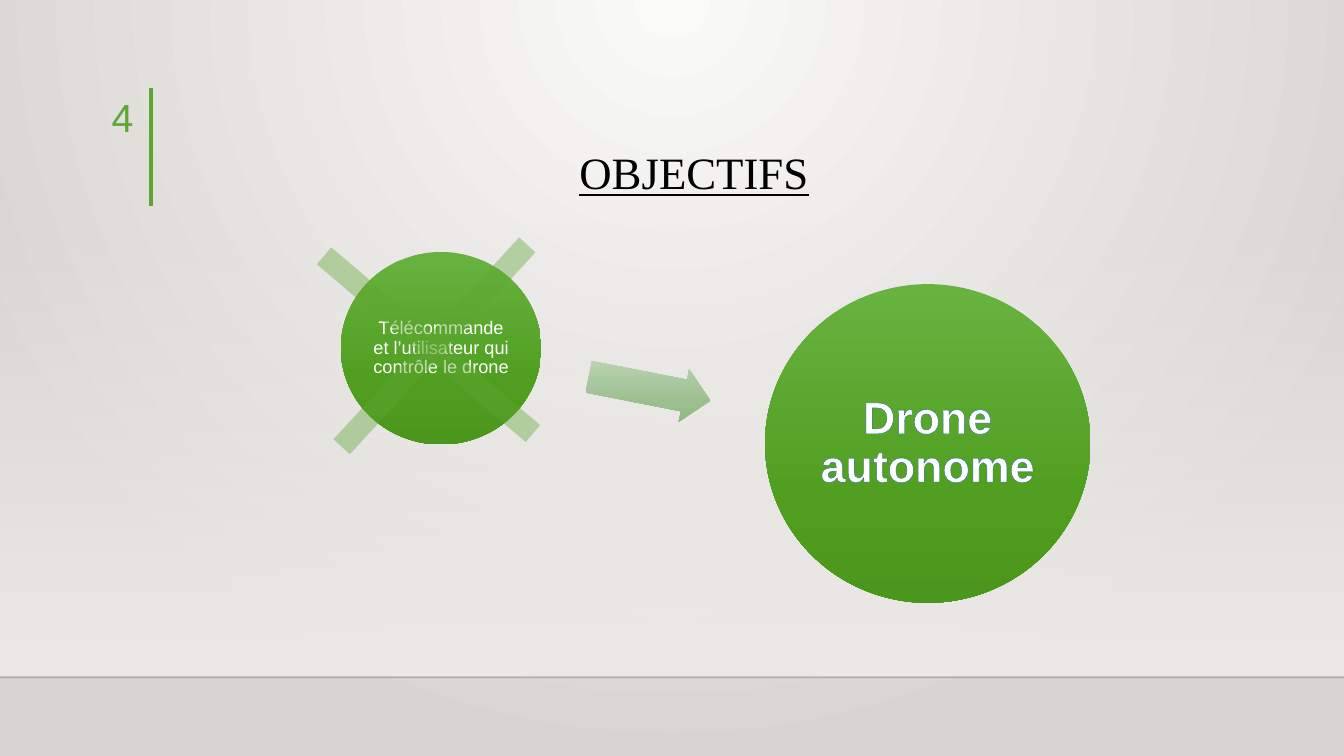
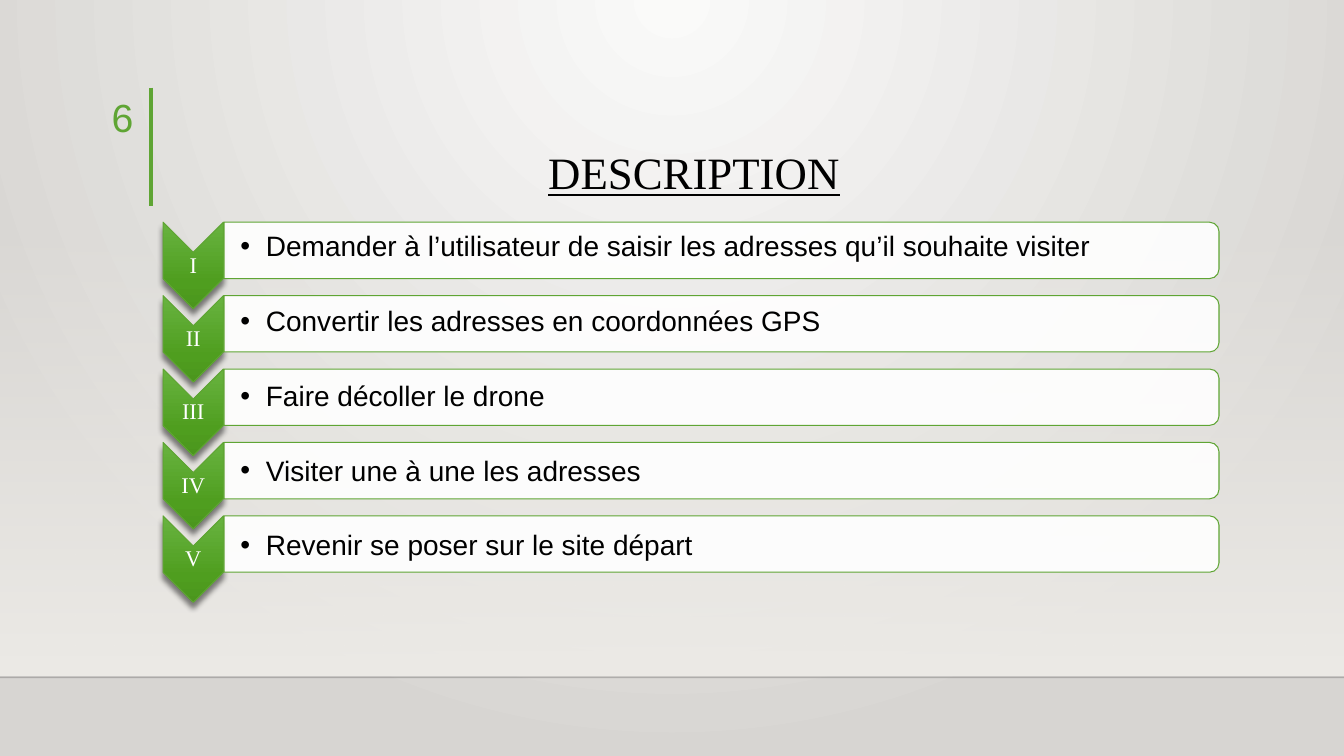
from dataclasses import dataclass
from typing import Any, Optional

from lxml import etree
from pptx import Presentation, util as u
from pptx.dml.color import RGBColor
from pptx.dml.fill import FillFormat
from pptx.enum import shapes, text
from pptx.oxml import parse_xml
from pptx.oxml.ns import nsdecls, qn

# Shared colours and fonts
GREEN, WHITE, BLACK = "5FA534", "FFFFFF", "000000"
BAND, OUTLINE, FLOOR = "EDEBE7", "236797", "000001"
SANS, SERIF = "Arial", "Times New Roman"
DOWNWARD = '<a:lin ang="5400000" scaled="0"/>'
FROM_TOP = '<a:path path="circle"><a:fillToRect l="43000" r="43000" b="100000"/></a:path>'
WIDTH, HEIGHT = 33.87, 19.05
STEP_PITCH = 1.85


@dataclass(frozen=True)
class Box:
    """Place on the slide, in centimetres."""
    left: float
    top: float
    width: float
    height: float

    def lengths(self) -> tuple[u.Cm, ...]:
        return tuple(u.Cm(v) for v in (self.left, self.top, self.width, self.height))

    def upright(self) -> "Box":
        """Frame that covers this box once it is turned by a quarter."""
        shift = (self.width - self.height) / 2
        return Box(self.left + shift, self.top - shift, self.height, self.width)

    def lowered(self, distance: float) -> "Box":
        return Box(self.left, self.top + distance, self.width, self.height)


@dataclass(frozen=True)
class Stop:
    position: int
    colour: str
    opacity: int = 100


@dataclass(frozen=True)
class Style:
    size: float
    font: str = SANS
    colour: str = WHITE
    bold: bool = False
    underline: bool = False


@dataclass(frozen=True)
class Bubble:
    box: Box
    label: str
    style: Style
    inset: float
    outline: Optional[str] = None


@dataclass(frozen=True)
class Step:
    numeral: str
    task: str


BACKDROP = (Stop(0, "FAFAF9"), Stop(100, "D7D5D2"))
BAND_FADE = (Stop(0, BAND, 0), Stop(100, BAND))
GLOSS = (Stop(0, "68B340"), Stop(69, "4F9E1F"), Stop(100, "4B961D"))
PALE_GLOSS = (Stop(0, "C0D7B8"), Stop(69, "9ABE8E"), Stop(100, "92B487"))

TITLE = Style(32, SERIF, BLACK, underline=True)
TITLE_BOX = Box(4.27, 2.24, 26.44, 2.92)
BUBBLES = (
    Bubble(Box(8.59, 6.35, 5.05, 4.85), "Télécommande et l’utilisateur qui contrôle le drone",
           Style(13), 0.05),
    Bubble(Box(19.28, 7.16, 8.2, 8.03), "Drone autonome", Style(32, bold=True), 0.1, OUTLINE),
)
CROSS_BARS = ((Box(10.67, 5.26, 0.56, 6.91), 42.6), (Box(10.52, 5.23, 0.56, 6.91), 310.4))
STEPS = (
    Step("I", "Demander à l’utilisateur de saisir les adresses qu’il souhaite visiter"),
    Step("II", "Convertir les adresses en coordonnées GPS"),
    Step("III", "Faire décoller le drone"),
    Step("IV", "Visiter une à une les adresses"),
    Step("V", "Revenir se poser sur le site départ"),
)


# Fills and lines
def paint(fill: FillFormat, colour: str) -> None:
    fill.solid()
    fill.fore_color.rgb = RGBColor.from_string(colour)


def fade(shape: Any, opacity: int) -> None:
    """Make the first colour of a shape translucent."""
    colour = next(shape.element.spPr.iter(qn("a:srgbClr")))
    etree.SubElement(colour, qn("a:alpha")).set("val", str(opacity * 1000))


def blend(fill: FillFormat, owner: Any, stops: tuple[Stop, ...], course: str = DOWNWARD) -> None:
    """Give the owner element a gradient in place of its fill."""
    fill.background()
    marks = "".join(
        f'<a:gs pos="{s.position * 1000}"><a:srgbClr val="{s.colour}">'
        f'<a:alpha val="{s.opacity * 1000}"/></a:srgbClr></a:gs>' for s in stops)
    gradient = parse_xml(f'<a:gradFill {nsdecls("a")} rotWithShape="0">'
                         f"<a:gsLst>{marks}</a:gsLst>{course}</a:gradFill>")
    owner.replace(owner.find(qn("a:noFill")), gradient)


def add_line(page: Any, start: tuple[float, float], end: tuple[float, float],
             colour: str, weight: float) -> Any:
    line = page.shapes.add_connector(
        shapes.MSO_CONNECTOR.STRAIGHT, *(u.Cm(v) for v in start + end))
    paint(line.line.fill, colour)
    line.line.width = u.Pt(weight)
    etree.SubElement(line.element.spPr, qn("a:effectLst"))
    return line


def add_figure(page: Any, kind: shapes.MSO_SHAPE, box: Box, rotation: float = 0,
               border: Optional[str] = None) -> Any:
    figure = page.shapes.add_shape(kind, *box.lengths())
    figure.rotation = rotation
    figure.shadow.inherit = False
    if border:
        paint(figure.line.fill, border)
        figure.line.width = u.Pt(0.75)
    else:
        figure.line.fill.background()
    return figure


# Text
def set_frame(shape: Any, anchor: text.MSO_ANCHOR, sides: float, ends: float) -> Any:
    frame = shape.text_frame
    frame.word_wrap = True
    frame.auto_size = text.MSO_AUTO_SIZE.NONE
    frame.vertical_anchor = anchor
    frame.margin_left = frame.margin_right = u.Cm(sides)
    frame.margin_top = frame.margin_bottom = u.Cm(ends)
    return frame


def add_span(para: Any, words: str, style: Style, align: text.PP_ALIGN,
             spacing: float = 0.9) -> None:
    para.alignment = align
    para.line_spacing = spacing
    span = para.add_run()
    span.text = words
    span.font.name = style.font
    span.font.size = u.Pt(style.size)
    span.font.bold = style.bold
    span.font.underline = style.underline
    paint(span.font.fill, style.colour)


def add_label(page: Any, box: Box, words: str, style: Style) -> None:
    label = page.shapes.add_textbox(*box.lengths())
    frame = set_frame(label, text.MSO_ANCHOR.MIDDLE, 0.03, 0.03)
    add_span(frame.paragraphs[0], words, style, text.PP_ALIGN.CENTER)


def place(shape: Any, box: Box) -> None:
    shape.left, shape.top, shape.width, shape.height = box.lengths()


# Parts shared by the slides
def add_page(deck: Any, layout: int, title: str, number: str) -> Any:
    page = deck.slides.add_slide(deck.slide_layouts[layout])

    band = add_figure(page, shapes.MSO_SHAPE.RECTANGLE, Box(0, 5.59, WIDTH, 11.43))
    blend(band.fill, band.element.spPr, BAND_FADE)
    fade(add_line(page, (0, 17.07), (WIDTH, 17.07), FLOOR, 1), 20)
    add_line(page, (3.81, 2.21), (3.81, 5.18), GREEN, 3)

    place(page.shapes.title, TITLE_BOX)
    frame = set_frame(page.shapes.title, text.MSO_ANCHOR.BOTTOM, 0.25, 0.13)
    add_span(frame.paragraphs[0], title, TITLE, text.PP_ALIGN.CENTER)

    number_box = page.shapes.add_textbox(*Box(1.35, 2.21, 2.26, 1.4).lengths())
    frame = set_frame(number_box, text.MSO_ANCHOR.TOP, 0.25, 0.13)
    add_span(frame.paragraphs[0], number, Style(28, colour=GREEN), text.PP_ALIGN.RIGHT, 1.0)
    return page


# Objectives: from the crossed-out remote control to the autonomous drone
def add_bubble(page: Any, bubble: Bubble) -> None:
    circle = add_figure(page, shapes.MSO_SHAPE.OVAL, bubble.box)
    blend(circle.fill, circle.element.spPr, GLOSS)
    frame = set_frame(circle, text.MSO_ANCHOR.MIDDLE, bubble.inset, bubble.inset)
    add_span(frame.paragraphs[0], bubble.label, bubble.style, text.PP_ALIGN.CENTER)
    if bubble.outline:
        contour = parse_xml(
            f'<a:ln {nsdecls("a")} w="10160"><a:solidFill>'
            f'<a:srgbClr val="{bubble.outline}"/></a:solidFill></a:ln>')
        next(circle.element.iter(qn("a:rPr"))).insert(0, contour)


def build_objectives(deck: Any) -> None:
    page = add_page(deck, 5, "OBJECTIFS", "4")
    for bubble in BUBBLES:
        add_bubble(page, bubble)

    arrow = add_figure(page, shapes.MSO_SHAPE.RIGHT_ARROW, Box(14.81, 9.12, 3.12, 1.35), 11.1)
    arrow.adjustments[0], arrow.adjustments[1] = 0.6, 0.5
    blend(arrow.fill, arrow.element.spPr, PALE_GLOSS)

    for box, rotation in CROSS_BARS:
        bar = add_figure(page, shapes.MSO_SHAPE.RECTANGLE, box, rotation)
        paint(bar.fill, GREEN)
        fade(bar, 40)


# Description: numbered chevrons beside a list on panels
def add_step_frame(page: Any, numeral: str, drop: float) -> None:
    chevron = add_figure(page, shapes.MSO_SHAPE.CHEVRON,
                         Box(4.11, 5.6, 1.52, 2.18).lowered(drop).upright(), 90, GREEN)
    blend(chevron.fill, chevron.element.spPr, GLOSS)
    effects = chevron.element.spPr.find(qn("a:effectLst"))
    effects.append(parse_xml(
        f'<a:outerShdw {nsdecls("a")} blurRad="50800" dist="50800" dir="5400000" '
        f'rotWithShape="0"><a:srgbClr val="{BLACK}"><a:alpha val="48000"/>'
        "</a:srgbClr></a:outerShdw>"))
    add_label(page, Box(4.11, 6.37, 1.52, 0.66).lowered(drop), numeral, Style(16, SERIF))

    panel = add_figure(page, shapes.MSO_SHAPE.ROUND_2_SAME_RECTANGLE,
                       Box(5.65, 5.6, 25.07, 1.42).lowered(drop).upright(), 90, GREEN)
    paint(panel.fill, WHITE)
    fade(panel, 90)


def fill_tasks(body: Any) -> None:
    place(body, Box(5.65, 5.6, 25.07, 1.42 + STEP_PITCH * (len(STEPS) - 1)))
    frame = set_frame(body, text.MSO_ANCHOR.MIDDLE, 0.41, 0.03)
    for _ in STEPS[1:]:
        frame.add_paragraph()
    for element in body.element.iter(qn("a:p")):
        properties = element.get_or_add_pPr()
        properties.set("marL", str(u.Cm(0.64)))
        properties.set("indent", str(u.Cm(-0.64)))
        etree.SubElement(properties, qn("a:buChar")).set("char", "•")
    for index, (para, step) in enumerate(zip(frame.paragraphs, STEPS)):
        para.space_before = u.Pt(31.75 if index else 0)
        para.space_after = u.Pt(0)
        add_span(para, step.task, Style(20, colour=BLACK), text.PP_ALIGN.LEFT)


def build_description(deck: Any) -> None:
    page = add_page(deck, 1, "DESCRIPTION", "6")
    body = page.placeholders[1]
    for index, step in enumerate(STEPS):
        add_step_frame(page, step.numeral, index * STEP_PITCH)
    fill_tasks(body)
    # Bring the list in front of its panels
    body.element.getparent().append(body.element)


def main() -> None:
    deck = Presentation()
    deck.slide_width, deck.slide_height = u.Cm(WIDTH), u.Cm(HEIGHT)
    master = deck.slide_master
    fill = master.background.fill
    fill.background()
    blend(fill, next(master.element.iter(qn("p:bgPr"))), BACKDROP, FROM_TOP)
    build_objectives(deck)
    build_description(deck)
    deck.save("out.pptx")


if __name__ == "__main__":
    main()
